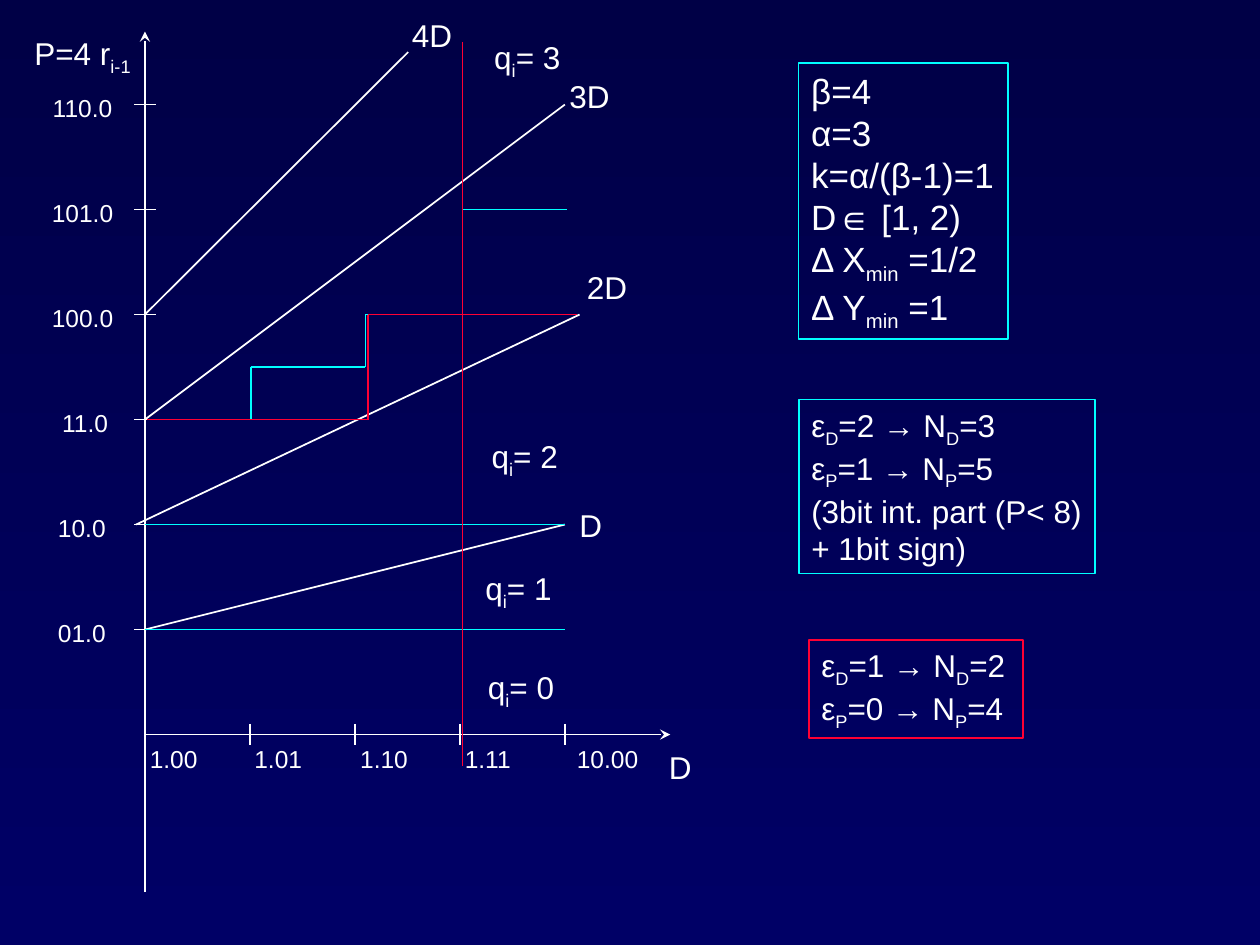
from lxml.etree import SubElement
from pptx import Presentation
from pptx.dml.color import RGBColor
from pptx.enum.shapes import MSO_CONNECTOR, MSO_SHAPE
from pptx.enum.text import MSO_ANCHOR, MSO_AUTO_SIZE, PP_ALIGN
from pptx.oxml.ns import qn
from pptx.util import Inches, Pt

WHITE = RGBColor(0xFF, 0xFF, 0xFF)
CYAN = RGBColor(0x00, 0xFF, 0xFF)
RED = RGBColor(0xFF, 0x00, 0x33)
NAVY_TOP = RGBColor(0x00, 0x00, 0x46)
NAVY_BOTTOM = RGBColor(0x00, 0x00, 0x66)

AXIS_X, AXIS_Y, STEP = 1.15, 5.83, 5 / 6
TICK = 0.085
RIGHT = AXIS_X + 4 * STEP


def level(steps):
    return AXIS_Y - steps * STEP


D_LABELS = [("1.00", 1.09, 0.58), ("1.01", 1.92, 0.58), ("1.10", 2.76, 0.58),
            ("1.11", 3.59, 0.58), ("10.00", 4.48, 0.69)]
P_LABELS = [("01.0", 0.36, 0.58), ("10.0", 0.36, 0.58), ("11.0", 0.32, 0.71),
            ("100.0", 0.31, 0.69), ("101.0", 0.31, 0.69), ("110.0", 0.31, 0.69)]

BOUNDARIES = [
    (AXIS_X, level(1), RIGHT, level(2)),
    (1.08, level(2), 4.6, level(4)),
    (AXIS_X, level(3), RIGHT, level(6)),
    (AXIS_X, level(4), 3.24, level(6.5)),
]
CYAN_PATHS = [
    [(AXIS_X, level(1)), (RIGHT, level(1))],
    [(AXIS_X, level(2)), (RIGHT, level(2))],
    [(1.17, level(3)), (1.99, level(3)), (1.99, level(3.5)), (2.9, level(3.5)),
     (2.9, level(4)), (3.65, level(4))],
    [(3.67, level(4)), (3.67, level(5)), (4.5, level(5))],
]
RED_PATHS = [
    [(3.67, 6.08), (3.67, 0.33)],
    [(1.17, level(3)), (2.92, level(3)), (2.92, level(4)), (4.58, level(4))],
]

LEFT_NAMES = [("D", 4.5, 3.97, 0.38), ("2D", 4.56, 2.08, 0.52),
              ("3D", 4.42, 0.56, 0.52), ("4D", 3.17, 0.08, 0.52)]
CENTRED_NAMES = [
    ("P=4 r_i-1_", 0.15, 0.22, 1.01, 0.44),
    ("D", 5.21, 5.89, 0.38, 0.4),
    ("q_i_= 0", 3.77, 5.25, 0.73, 0.44),
    ("q_i_= 1", 3.75, 4.47, 0.73, 0.44),
    ("q_i_= 2", 3.8, 3.42, 0.73, 0.44),
    ("q_i_= 3", 3.82, 0.25, 0.73, 0.44),
]
PANELS = [
    (["β=4", "α=3", "k=α/(β-1)=1", "D∈ [1, 2)", "Δ X_min_ =1/2", "Δ Y_min_ =1"],
     (6.34, 0.5, 1.66, 2.19), 20, CYAN, 0.75),
    (["ε_D_=2 → N_D_=3", "ε_P_=1 → N_P_=5", "(3bit int. part (P< 8)", "+ 1bit sign)"],
     (6.34, 3.17, 2.35, 1.38), 18, CYAN, 0.75),
    (["ε_D_=1 → N_D_=2", "ε_P_=0 → N_P_=4"],
     (6.42, 5.08, 1.7, 0.78), 18, RED, 1),
]


def write(shape, rows, size, align=PP_ALIGN.LEFT):
    frame = shape.text_frame
    frame.word_wrap = False
    frame.auto_size = MSO_AUTO_SIZE.SHAPE_TO_FIT_TEXT
    frame.vertical_anchor = MSO_ANCHOR.TOP
    for index, row in enumerate(rows):
        para = frame.add_paragraph() if index else frame.paragraphs[0]
        para.alignment = align
        for part, words in enumerate(row.split("_")):
            if not words:
                continue
            span = para.add_run()
            span.text = words
            span.font.name = "Arial"
            span.font.size = Pt(size)
            span.font.color.rgb = WHITE
            if part % 2:
                span._r.get_or_add_rPr().set("baseline", "-25000")


def add_label(page, text, left, top, width, height, size=18, align=PP_ALIGN.LEFT):
    box = page.shapes.add_textbox(*map(Inches, (left, top, width, height)))
    write(box, [text], size, align)


def add_line(page, x1, y1, x2, y2, color=WHITE, arrow=False):
    line = page.shapes.add_connector(MSO_CONNECTOR.STRAIGHT, *map(Inches, (x1, y1, x2, y2)))
    line.line.color.rgb = color
    line.line.width = Pt(1)
    if arrow:
        SubElement(line.line._get_or_add_ln(), qn("a:tailEnd"), type="stealth")
    SubElement(line._element.spPr, qn("a:effectLst"))


def add_panel(page, rows, place, size, color, weight):
    panel = page.shapes.add_shape(MSO_SHAPE.RECTANGLE, *map(Inches, place))
    panel.shadow.inherit = False
    panel.fill.background()
    panel.line.color.rgb = color
    panel.line.width = Pt(weight)
    write(panel, rows, size)


def main():
    deck = Presentation()
    deck.slide_width, deck.slide_height = Inches(10), Inches(7.5)
    page = deck.slides.add_slide(deck.slide_layouts[6])
    fill = page.background.fill
    fill.gradient()
    fill.gradient_angle = 270
    for stop, color in zip(fill.gradient_stops, (NAVY_TOP, NAVY_BOTTOM)):
        stop.color.rgb = color

    add_line(page, AXIS_X, 7.08, AXIS_X, 0.25, arrow=True)
    add_line(page, AXIS_X, AXIS_Y, 5.32, AXIS_Y, arrow=True)
    for index, (text, left, width) in enumerate(D_LABELS):
        if index:
            x = AXIS_X + index * STEP
            add_line(page, x, AXIS_Y - TICK, x, AXIS_Y + TICK)
        add_label(page, text, left, 5.86, width, 0.33, 14)
    for steps, (text, left, width) in enumerate(P_LABELS, 1):
        y = level(steps)
        add_line(page, AXIS_X - TICK, y, AXIS_X + TICK, y)
        add_label(page, text, left, y - 0.14, width, 0.33, 14, PP_ALIGN.CENTER)

    for ends in BOUNDARIES:
        add_line(page, *ends)
    for paths, color in ((CYAN_PATHS, CYAN), (RED_PATHS, RED)):
        for points in paths:
            for start, end in zip(points, points[1:]):
                add_line(page, *start, *end, color)

    for text, left, top, width in LEFT_NAMES:
        add_label(page, text, left, top, width, 0.4)
    for name in CENTRED_NAMES:
        add_label(page, *name, align=PP_ALIGN.CENTER)
    for panel in PANELS:
        add_panel(page, *panel)
    deck.save("out.pptx")


if __name__ == "__main__":
    main()
